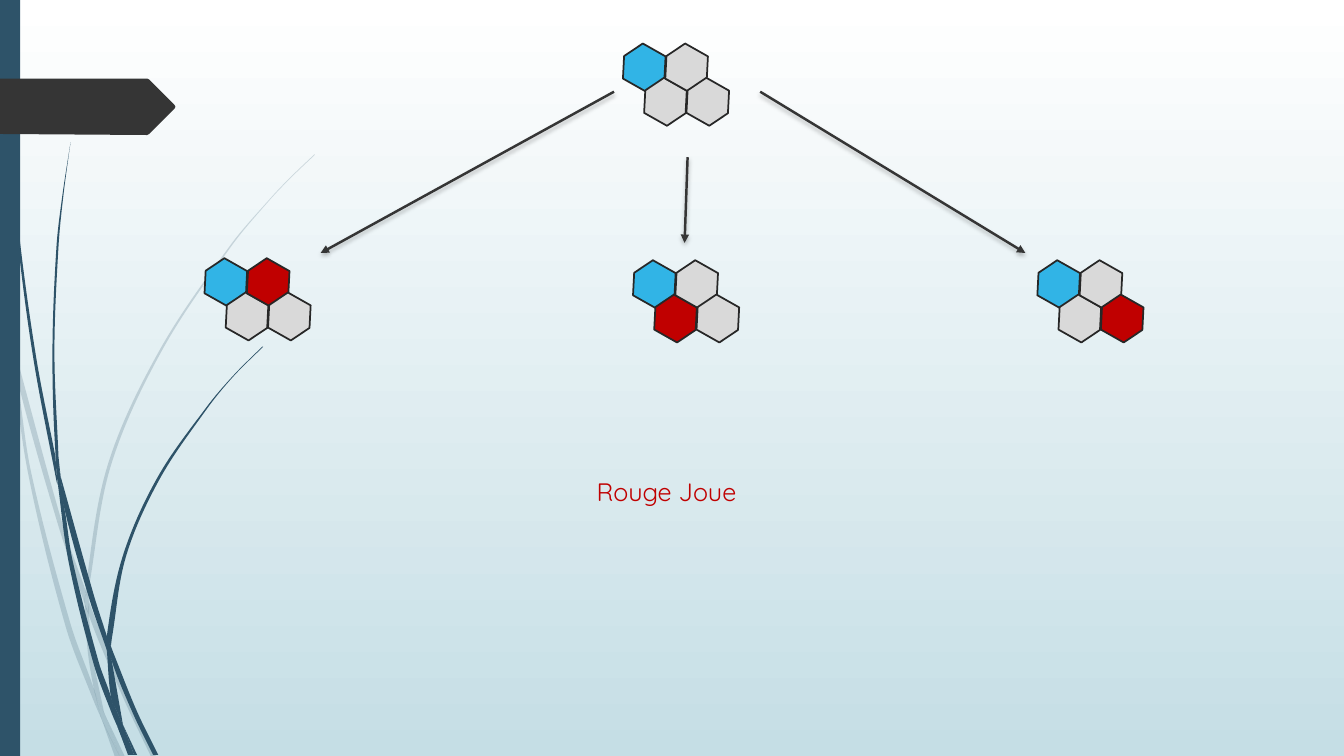
from math import dist

from lxml import etree
from pptx import Presentation
from pptx.dml.color import RGBColor
from pptx.enum.shapes import MSO_CONNECTOR, MSO_SHAPE
from pptx.enum.text import MSO_AUTO_SIZE
from pptx.oxml import parse_xml
from pptx.oxml.ns import nsdecls, qn
from pptx.util import Inches, Pt

WHITE = RGBColor(0xFF, 0xFF, 0xFF)
PALE_TEAL = RGBColor(0xC5, 0xDE, 0xE5)
NAVY = RGBColor(0x2E, 0x53, 0x69)
CHARCOAL = RGBColor(0x35, 0x35, 0x35)
OUTLINE = RGBColor(0x27, 0x27, 0x27)
BLUE = RGBColor(0x31, 0xB4, 0xE6)
RED = RGBColor(0xC0, 0x00, 0x00)
GREY = RGBColor(0xD9, 0xD9, 0xD9)

# Each piece of grass has two smooth edges, one running out and one running back
PALE_GRASS = [
    ([(0.11, 3.5), (0.09, 3.22), (0, 2.82)], [(0, 2.99), (0.1, 3.44), (0.11, 3.5)]),
    ([(0.14, 3.45), (0.17, 3.76), (0.58, 5.22), (0.84, 5.99)],
     [(0.85, 5.86), (0.62, 5.2), (0.14, 3.45)]),
    ([(0.88, 5.96), (0.88, 6.1), (1.23, 6.94), (1.5, 7.51)],
     [(1.55, 7.51), (1.27, 6.92), (0.92, 6.07), (0.88, 5.96)]),
    ([(1.05, 7.11), (1.19, 7.51)], [(1.24, 7.51), (1.05, 7.11)]),
    ([(0.11, 3.5), (0.28, 4.7), (0.65, 6.21), (0.92, 6.93), (1.01, 7.14)],
     [(0.99, 7.07), (0.93, 6.83), (0.7, 6.19), (0.31, 4.69), (0.17, 3.76), (0.11, 3.5)]),
    ([(0.84, 5.99), (0.87, 6.46), (0.93, 6.83), (0.96, 6.92), (1.05, 7.11)],
     [(1.03, 7.06), (0.91, 6.46), (0.88, 6.1), (0.84, 5.99)]),
    ([(3.12, 1.53), (2.89, 1.75), (2.68, 1.97), (2.28, 2.44), (1.58, 3.48),
      (1.07, 4.61), (0.85, 5.84), (0.88, 5.96)],
     [(0.88, 5.84), (1.1, 4.62), (1.6, 3.49), (2.29, 2.45), (2.68, 1.98),
      (2.9, 1.75), (3.12, 1.54)]),
    ([(1.01, 7.14), (1.14, 7.51)], [(1.19, 7.51), (1.01, 7.14)]),
    ([(0.85, 5.86), (0.84, 5.99), (0.88, 6.1)], [(0.88, 5.96), (0.85, 5.86)]),
    ([(0.93, 6.83), (0.99, 7.07), (1.01, 7.14), (1.19, 7.51)],
     [(1.05, 7.11), (0.96, 6.92), (0.93, 6.83)]),
]
DARK_GRASS = [
    ([(0.03, 0), (0.04, 0.48), (0.07, 1.1), (0.17, 2.33), (0.33, 3.55),
      (0.56, 4.77), (0.57, 4.81)],
     [(0.55, 4.53), (0.36, 3.55), (0.19, 2.32), (0.08, 1.09), (0.05, 0.48), (0.04, 0)]),
    ([(0.6, 4.72), (0.64, 5.05), (0.88, 5.92), (1.06, 6.45)],
     [(1.06, 6.31), (0.93, 5.9), (0.6, 4.72)]),
    ([(1.1, 6.41), (1.11, 6.56), (1.32, 7.08), (1.52, 7.49)],
     [(1.57, 7.49), (1.36, 7.06), (1.13, 6.49), (1.1, 6.41)]),
    ([(0.57, 4.77), (0.68, 5.57), (0.93, 6.59), (1.11, 7.08), (1.17, 7.22)],
     [(1.16, 7.17), (1.1, 6.91), (0.98, 6.57), (0.72, 5.56), (0.64, 5.05), (0.57, 4.77)]),
    ([(0.7, 1.41), (0.62, 1.93), (0.56, 2.45), (0.52, 3.49), (0.55, 4.49), (0.6, 4.72)],
     [(0.58, 4.53), (0.54, 3.49), (0.58, 2.45), (0.63, 1.93), (0.7, 1.41)]),
    ([(1.22, 7.19), (1.33, 7.49)], [(1.36, 7.49), (1.22, 7.19)]),
    ([(0.55, 4.49), (0.57, 4.77), (0.64, 5.05)], [(0.6, 4.72), (0.55, 4.49)]),
    ([(2.6, 3.44), (2.31, 3.73), (2.04, 4.05), (1.56, 4.74), (1.22, 5.51),
      (1.06, 6.31), (1.1, 6.41)],
     [(1.11, 6.33), (1.25, 5.52), (1.58, 4.76), (2.05, 4.06), (2.31, 3.74), (2.61, 3.44)]),
    ([(1.17, 7.22), (1.27, 7.49)], [(1.31, 7.49), (1.17, 7.22)]),
    ([(1.06, 6.45), (1.1, 6.91), (1.16, 7.06), (1.22, 7.19)],
     [(1.11, 6.56), (1.09, 6.51), (1.06, 6.45)]),
    ([(1.06, 6.31), (1.06, 6.45), (1.11, 6.56)], [(1.1, 6.41), (1.06, 6.31)]),
    ([(1.1, 6.91), (1.17, 7.22), (1.3, 7.49)],
     [(1.33, 7.49), (1.22, 7.19), (1.16, 7.06), (1.1, 6.91)]),
]
TAG_CORNERS = [(0, 0.78), (1.46, 0.78), (1.48, 0.79), (1.73, 1.04), (1.74, 1.06),
               (1.73, 1.08), (1.48, 1.33), (1.46, 1.34), (0, 1.33)]

# Each board: left, top, colours of upper left, lower left, upper right, lower right
BOARDS = [
    (6.16, 0.47, (BLUE, GREY, GREY, GREY)),
    (2.01, 2.6, (BLUE, GREY, RED, GREY)),
    (6.26, 2.62, (BLUE, RED, GREY, GREY)),
    (10.27, 2.62, (BLUE, GREY, GREY, RED)),
]
ARROWS = [(6.09, 0.91, 3.18, 2.51), (6.82, 1.56, 6.79, 2.41), (7.54, 0.91, 10.17, 2.51)]
SHADOW = (
    f'<a:effectLst {nsdecls("a")}><a:outerShdw blurRad="38100" dist="25400" '
    'dir="5400000" rotWithShape="0"><a:srgbClr val="000000">'
    '<a:alpha val="25000"/></a:srgbClr></a:outerShdw></a:effectLst>'
)


def paint(shape, color):
    """Give a shape a plain fill with neither line nor shadow."""
    shape.shadow.inherit = False
    shape.fill.solid()
    shape.fill.fore_color.rgb = color
    shape.line.fill.background()


def draw_outline(edges, color):
    """Draw a closed outline whose edges are smooth curves joined at corners."""
    corners, controls = [], []
    for edge in edges:
        if not corners or corners[-1] != edge[0]:
            corners.append(edge[0])
            controls.append(None)
        padded = [edge[0], *edge, edge[-1]]
        for before, start, end, after in zip(padded, padded[1:], padded[2:], padded[3:]):
            reach = dist(start, end) / 3
            pull_out = reach / dist(before, end)
            pull_in = reach / dist(start, after)
            corners.append(end)
            controls.append((
                [s + (e - b) * pull_out for b, s, e in zip(before, start, end)],
                [e - (a - s) * pull_in for s, e, a in zip(start, end, after)]))
    points = [(Inches(x), Inches(y)) for x, y in corners]
    builder = slide.shapes.build_freeform(*points[0])
    builder.add_line_segments(points[1:], close=False)
    shape = builder.convert_to_shape()
    path = next(shape._element.iter(qn("a:path")))
    for segment, handles in zip(list(path)[1:], controls[1:]):
        if handles:
            segment.tag = qn("a:cubicBezTo")
            for index, (x, y) in enumerate(handles):
                handle = etree.Element(qn("a:pt"))
                handle.set("x", str(Inches(x) - shape.left))
                handle.set("y", str(Inches(y) - shape.top))
                segment.insert(index, handle)
    etree.SubElement(path, qn("a:close"))
    paint(shape, color)
    return shape


presentation = Presentation()
presentation.slide_width = Inches(13.33)
presentation.slide_height = Inches(7.5)
slide = presentation.slides.add_slide(presentation.slide_layouts[6])

background = slide.background.fill
background.gradient()
background.gradient_angle = 270
for stop, color in zip(background.gradient_stops, (WHITE, PALE_TEAL)):
    stop.color.rgb = color

# Grass, side bar and tag
for edges in PALE_GRASS:
    piece = draw_outline(edges, NAVY)
    fill_color = piece._element.spPr.find(qn("a:solidFill"))[0]
    etree.SubElement(fill_color, qn("a:alpha")).set("val", "20000")
for edges in DARK_GRASS:
    draw_outline(edges, NAVY)
side_bar = slide.shapes.add_shape(MSO_SHAPE.RECTANGLE, 0, 0, Inches(0.2), Inches(7.5))
paint(side_bar, NAVY)
draw_outline([[corner] for corner in TAG_CORNERS], CHARCOAL)

# Game boards: four hexagons, alternating between the upper and lower row
for left, top, colors in BOARDS:
    for index, color in enumerate(colors):
        cell = slide.shapes.add_shape(
            MSO_SHAPE.HEXAGON, Inches(left + 0.21 * index),
            Inches(top + 0.34 * (index % 2)), Inches(0.46), Inches(0.4))
        paint(cell, color)
        cell.rotation = 29.5
        cell.line.color.rgb = OUTLINE
        cell.line.width = Pt(1.25)

# Arrows from the first board to its three possible moves
for ends in ARROWS:
    arrow = slide.shapes.add_connector(MSO_CONNECTOR.STRAIGHT, *map(Inches, ends))
    arrow.line.color.rgb = CHARCOAL
    arrow.line.width = Pt(1.75)
    etree.SubElement(arrow.line._get_or_add_ln(), qn("a:tailEnd")).set("type", "triangle")
    arrow._element.spPr.append(parse_xml(SHADOW))

caption = slide.shapes.add_textbox(Inches(5.82), Inches(4.68), Inches(1.75), Inches(0.4))
caption.text_frame.word_wrap = True
caption.text_frame.auto_size = MSO_AUTO_SIZE.SHAPE_TO_FIT_TEXT
run = caption.text_frame.paragraphs[0].add_run()
run.text = "Rouge Joue"
run.font.name = "Quicksand"
run.font.size = Pt(18)
run.font.color.rgb = RED

presentation.save("out.pptx")
